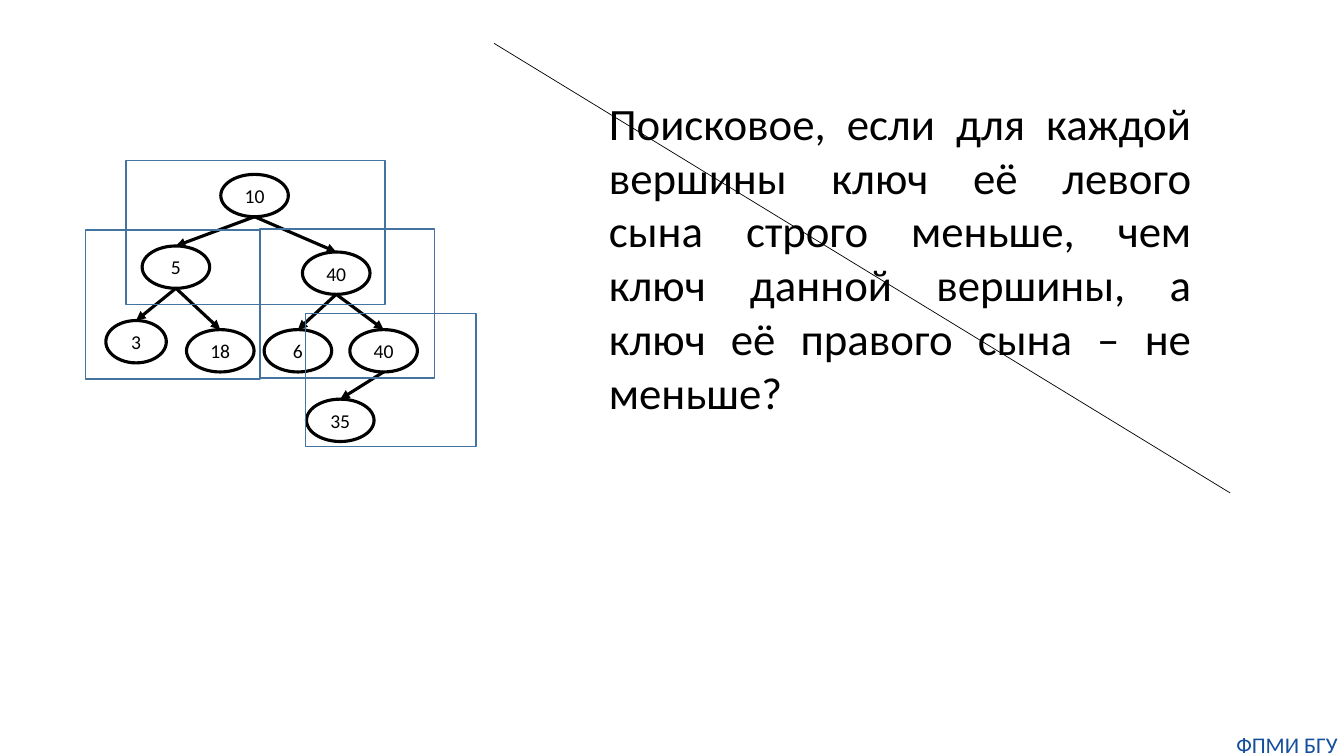
from pptx import Presentation
from pptx.dml.color import RGBColor
from pptx.enum.shapes import MSO_CONNECTOR, MSO_SHAPE
from pptx.enum.text import MSO_ANCHOR, PP_ALIGN
from pptx.oxml.ns import qn
from pptx.util import Inches, Pt
from lxml.etree import SubElement

BLACK = "000000"
FRAME_BLUE = "43739E"
FOOTER_BLUE = "144E9D"
NODE_HEIGHT = 0.42

# name: (key, left, top, width)
NODES = {
    "root": ("10", 2.19, 1.73, 0.67),
    "left": ("5", 1.41, 2.44, 0.67),
    "right": ("40", 3, 2.5, 0.67),
    "left.left": ("3", 1.05, 3.18, 0.6),
    "left.right": ("18", 1.85, 3.27, 0.67),
    "right.left": ("6", 2.62, 3.27, 0.67),
    "right.right": ("40", 3.47, 3.27, 0.67),
    "right.right.left": ("35", 3.04, 3.96, 0.67),
}
EDGES = [
    ("root", "left"), ("root", "right"),
    ("left", "left.left"), ("left", "left.right"),
    ("right", "right.left"), ("right", "right.right"),
    ("right.right", "right.right.left"),
]
# left, top, width, height
SUBTREE_FRAMES = [
    (0.85, 2.28, 1.73, 1.48),
    (2.58, 2.27, 1.73, 1.48),
    (1.25, 1.59, 2.57, 1.43),
    (3.03, 3.11, 1.69, 1.32),
]
QUESTION = (
    "Поисковое, если для каждой вершины ключ её левого сына строго меньше, "
    "чем ключ данной вершины, а ключ её правого сына – не меньше?"
)


def color(hex_string):
    return RGBColor.from_string(hex_string)


def write(shape, text, size, hex_color, alignment):
    paragraph = shape.text_frame.paragraphs[0]
    paragraph.text = text
    paragraph.alignment = alignment
    paragraph.font.name = "Calibri"
    paragraph.font.size = Pt(size)
    paragraph.font.color.rgb = color(hex_color)


def remove_margins(frame):
    frame.margin_left = frame.margin_right = 0
    frame.margin_top = frame.margin_bottom = 0


def add_outline(slide, kind, box, hex_color, width):
    """Add an unfilled preset shape; box is left, top, width, height."""
    shape = slide.shapes.add_shape(kind, *map(Inches, box))
    shape.shadow.inherit = False
    shape.fill.background()
    shape.line.color.rgb = color(hex_color)
    shape.line.width = Pt(width)
    return shape


def add_node(slide, key, left, top, width):
    box = (left, top, width, NODE_HEIGHT)
    shape = add_outline(slide, MSO_SHAPE.OVAL, box, BLACK, 2.25)
    remove_margins(shape.text_frame)
    shape.text_frame.vertical_anchor = MSO_ANCHOR.MIDDLE
    write(shape, key, 14, BLACK, PP_ALIGN.CENTER)


def add_line(slide, start, end, width, arrow=False):
    line = slide.shapes.add_connector(
        MSO_CONNECTOR.STRAIGHT, *map(Inches, (*start, *end)))
    line.line.color.rgb = color(BLACK)
    line.line.width = Pt(width)
    if arrow:
        SubElement(line.line._get_or_add_ln(), qn("a:tailEnd"), type="triangle")
    SubElement(line._element.spPr, qn("a:effectLst"))


def add_edge(slide, parent, child):
    """Draw an arrow from the bottom of the parent to the top of the child."""
    _, parent_left, parent_top, parent_width = NODES[parent]
    _, child_left, child_top, child_width = NODES[child]
    start = (parent_left + parent_width / 2, parent_top + NODE_HEIGHT)
    end = (child_left + child_width / 2, child_top)
    add_line(slide, start, end, 2.25, arrow=True)


def add_text(slide, text, box, size, hex_color, alignment):
    text_box = slide.shapes.add_textbox(*map(Inches, box))
    text_box.text_frame.word_wrap = True
    write(text_box, text, size, hex_color, alignment)
    return text_box


def main():
    presentation = Presentation()
    presentation.slide_width = Inches(13.33)
    presentation.slide_height = Inches(7.5)
    slide = presentation.slides.add_slide(presentation.slide_layouts[6])

    for node in NODES.values():
        add_node(slide, *node)
    for parent, child in EDGES:
        add_edge(slide, parent, child)
    footer = add_text(slide, "ФПМИ БГУ", (12.2, 7.25, 1.13, 0.27),
                      16, FOOTER_BLUE, PP_ALIGN.CENTER)
    remove_margins(footer.text_frame)
    for frame in SUBTREE_FRAMES:
        add_outline(slide, MSO_SHAPE.RECTANGLE, frame, FRAME_BLUE, 1)
    add_text(slide, QUESTION, (5.94, 0.9, 5.98, 3.33),
             32, BLACK, PP_ALIGN.JUSTIFY)
    add_line(slide, (4.9, 0.43), (12.2, 4.89), 0.5)

    presentation.save("out.pptx")


if __name__ == "__main__":
    main()
